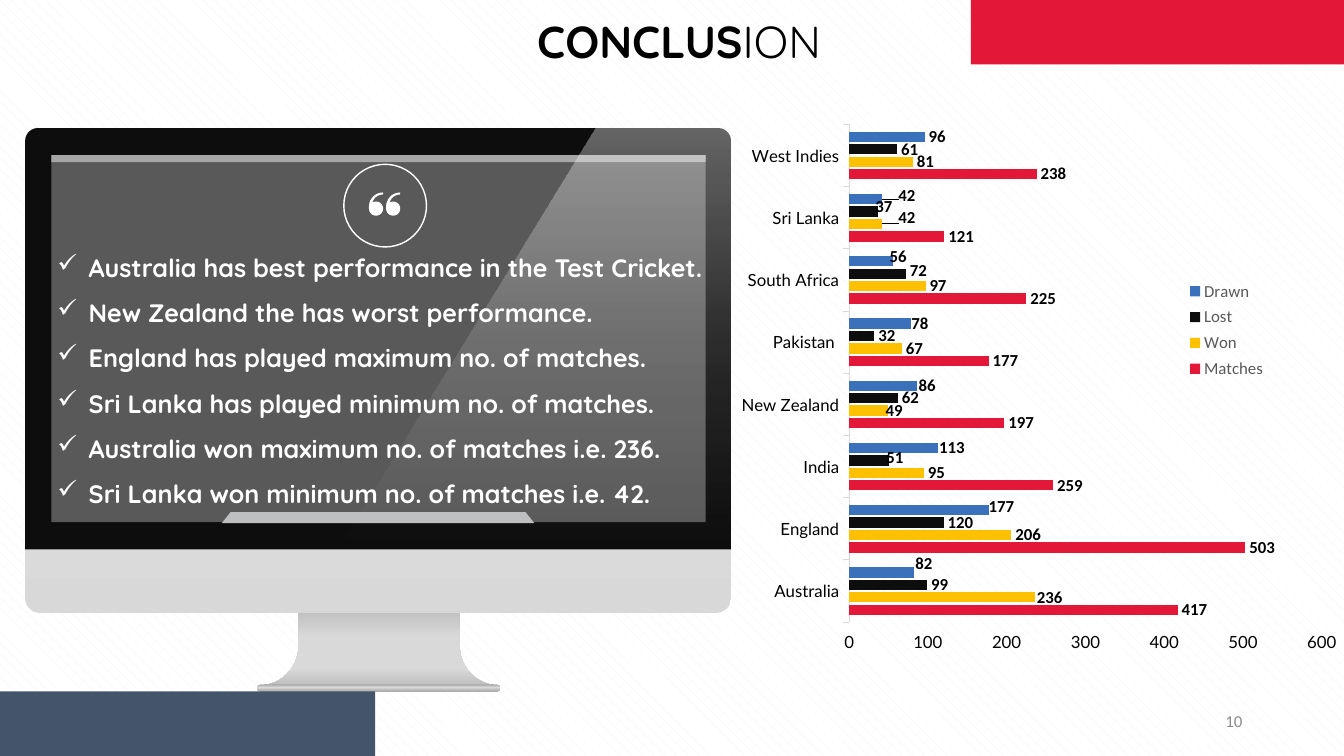
from math import cos, radians, sin

from lxml.etree import SubElement
from pptx import Presentation
from pptx.chart.data import CategoryChartData
from pptx.dml.color import RGBColor
from pptx.enum.chart import XL_CHART_TYPE, XL_LABEL_POSITION, XL_LEGEND_POSITION, XL_TICK_MARK
from pptx.enum.dml import MSO_PATTERN
from pptx.enum.shapes import MSO_SHAPE
from pptx.enum.text import MSO_ANCHOR, MSO_AUTO_SIZE, PP_ALIGN
from pptx.oxml.ns import qn
from pptx.util import Inches, Pt

RED, NAVY, WHITE, BLACK = "E31737", "44546A", "FFFFFF", "000000"

FINDINGS = [
    "Australia has best performance in the Test Cricket.",
    "New Zealand the has worst performance.",
    "England has played maximum no. of matches.",
    "Sri Lanka has played minimum no. of matches.",
    "Australia won maximum no. of matches i.e. 236.",
    "Sri Lanka won minimum no. of matches i.e. 42.",
]
TEAMS = ["Australia", "England", "India", "New Zealand", "Pakistan ",
         "South Africa", "Sri Lanka", "West Indies"]
RESULTS = {
    "Matches": (RED, [417, 503, 259, 197, 177, 225, 121, 238]),
    "Won": ("FFC000", [236, 206, 95, 49, 67, 97, 42, 81]),
    "Lost": ("0D0D0D", [99, 120, 51, 62, 32, 72, 37, 61]),
    "Drawn": ("3B71BA", [82, 177, 113, 86, 78, 56, 42, 96]),
}
LABEL_SHIFTS = {
    "Won": {0: (-0.003, 0), 3: (-0.008, 0), 6: (0.016, -0.01)},
    "Lost": {2: (-0.009, -0.005), 5: (0, -0.005), 6: (-0.009, -0.008)},
    "Drawn": {0: (-0.003, -0.014), 1: (-0.005, -0.005), 2: (-0.004, 0), 3: (-0.003, 0),
              4: (-0.004, 0), 5: (-0.01, -0.007), 6: (0.016, -0.005)},
}


def color(hex_code):
    return RGBColor.from_string(hex_code)


def arc(cx, cy, radius, start, end, steps=12):
    angles = [radians(start + (end - start) * i / steps) for i in range(steps + 1)]
    return [(cx + radius * cos(a), cy + radius * sin(a)) for a in angles]


def set_layout(parent, index, **values):
    for old in parent.findall(qn("c:layout")):
        parent.remove(old)
    layout = SubElement(parent, qn("c:layout"))
    parent.insert(index, layout)
    manual = SubElement(layout, qn("c:manualLayout"))
    for tag, value in values.items():
        SubElement(manual, qn(f"c:{tag}")).set("val", str(value))


class ConclusionSlide:
    """Holds the slide and its style, with a method for each kind of element."""

    heading_font, axis_font, body_font = "Quicksand", "Lato", "Calibri"

    def __init__(self, deck):
        self.slide = deck.slides.add_slide(deck.slide_layouts[5])
        fill = self.slide.background.fill
        fill.patterned()
        fill.pattern = MSO_PATTERN.SHINGLE
        fill.fore_color.rgb = color("F2F2F2")
        fill.back_color.rgb = color(WHITE)

    def style_font(self, font, size, name, hex_code, bold=False):
        font.size, font.name, font.bold = Pt(size), name, bold
        font.color.rgb = color(hex_code)

    def paint(self, shape, fill, angle=90, line=None):
        shape.shadow.inherit = False
        if line:
            shape.line.color.rgb = color(line)
            shape.line.width = Pt(1)
        else:
            shape.line.fill.background()
        if fill is None:
            shape.fill.background()
        elif isinstance(fill, str):
            shape.fill.solid()
            shape.fill.fore_color.rgb = color(fill)
        else:
            self.paint_gradient(shape, fill, angle)

    def paint_gradient(self, shape, stops, angle):
        shape.fill.gradient()
        gradient = shape._element.spPr.find(qn("a:gradFill"))
        gradient.find(qn("a:lin")).set("ang", str(angle * 60000))
        stop_list = gradient.find(qn("a:gsLst"))
        for old in list(stop_list):
            stop_list.remove(old)
        for position, hex_code, opacity in stops:
            stop = SubElement(stop_list, qn("a:gs"), pos=str(position * 1000))
            tint = SubElement(stop, qn("a:srgbClr"), val=hex_code)
            if opacity < 100:
                SubElement(tint, qn("a:alpha"), val=str(opacity * 1000))

    def shape(self, kind, box, fill, adjust=(), **style):
        shape = self.slide.shapes.add_shape(kind, *map(Inches, box))
        for i, value in enumerate(adjust):
            shape.adjustments[i] = value
        self.paint(shape, fill, **style)

    def outline(self, points, fill):
        corners = [(Inches(x), Inches(y)) for x, y in points]
        builder = self.slide.shapes.build_freeform(*corners[0], scale=1.0)
        builder.add_line_segments(corners[1:], close=True)
        self.paint(builder.convert_to_shape(), fill)

    def frame(self, shape, anchor, margin=0):
        frame = shape.text_frame
        frame.word_wrap, frame.auto_size = True, MSO_AUTO_SIZE.NONE
        frame.vertical_anchor = anchor
        frame.margin_left = frame.margin_right = Inches(margin)
        frame.margin_top = frame.margin_bottom = Inches(margin / 2)
        return frame

    def title(self, bold_part, light_part, box):
        title = self.slide.shapes.title
        title.left, title.top, title.width, title.height = map(Inches, box)
        heading = self.frame(title, MSO_ANCHOR.MIDDLE).paragraphs[0]
        heading.alignment = PP_ALIGN.CENTER
        for part, bold in ((bold_part, True), (light_part, False)):
            run = heading.add_run()
            run.text = part
            self.style_font(run.font, 32, self.heading_font, BLACK, bold)

    def checklist(self, items, box):
        checklist = self.slide.shapes.add_textbox(*map(Inches, box))
        frame = self.frame(checklist, MSO_ANCHOR.TOP)
        frame.text = "\n".join(items)
        for item in frame.paragraphs:
            item.line_spacing = 1.5
            properties = item._p.get_or_add_pPr()
            properties.set("marL", str(Inches(0.31)))
            properties.set("indent", str(Inches(-0.31)))
            SubElement(properties, qn("a:buChar"), char="✓")
            self.style_font(item.runs[0].font, 18, self.heading_font, WHITE, True)

    def page_number(self, number, box):
        page = self.slide.shapes.add_textbox(*map(Inches, box))
        frame = self.frame(page, MSO_ANCHOR.MIDDLE, 0.1)
        frame.text = number
        frame.paragraphs[0].alignment = PP_ALIGN.RIGHT
        self.style_font(frame.paragraphs[0].runs[0].font, 12, self.body_font, "8C8C8C")

    def bar_chart(self, teams, results, box):
        data = CategoryChartData()
        data.categories = teams
        for name, (_, values) in results.items():
            data.add_series(name, values)
        chart = self.slide.shapes.add_chart(
            XL_CHART_TYPE.BAR_CLUSTERED, *map(Inches, box), data).chart
        self.style_font(chart.font, 10, self.body_font, BLACK)
        chart.has_title = False
        plot = chart.plots[0]
        plot.gap_width, plot.overlap, plot.vary_by_categories = 141, -20, False
        for axis in (chart.category_axis, chart.value_axis):
            axis.has_major_gridlines = False
            axis.major_tick_mark = XL_TICK_MARK.OUTSIDE
            self.style_font(axis.tick_labels.font, 12, self.axis_font, BLACK)
        chart.category_axis.format.line.color.rgb = color("D9D9D9")
        chart.category_axis.format.line.width = Pt(0.75)
        chart.value_axis.format.line.fill.background()
        chart.has_legend = True
        chart.legend.position = XL_LEGEND_POSITION.RIGHT
        chart.legend.include_in_layout = False
        self.style_font(chart.legend.font, 12, self.body_font, "595959")
        set_layout(chart.legend._element, 1, xMode="edge", yMode="edge",
                   x=0.616, y=0.317, w=0.11, h=0.175)
        set_layout(chart._chartSpace.chart.plotArea, 0, layoutTarget="inner",
                   xMode="edge", yMode="edge", x=0.179, y=0.075, w=0.616, h=0.798)
        for series in plot.series:
            self.label_series(series, results[series.name][0])

    def label_series(self, series, hex_code):
        series.format.fill.solid()
        series.format.fill.fore_color.rgb = color(hex_code)
        series.data_labels.show_value = True
        shifts = LABEL_SHIFTS.get(series.name, {})
        for label in [series.data_labels] + [series.points[i].data_label for i in shifts]:
            label.position = XL_LABEL_POSITION.OUTSIDE_END
            self.style_font(label.font, 12, self.body_font, BLACK, True)
        for element, (x, y) in zip(series._element.iter(qn("c:dLbl")), shifts.values()):
            set_layout(element, 1, x=x, y=y)

    def monitor(self):
        neck = arc(2.57, 6.41, 0.39, 0, 90)
        mirrored = [(7.52 - x, y) for x, y in reversed(neck)]
        self.outline([(2.96, 6.05), *neck, *mirrored, (4.56, 6.05)],
                     [(0, "BFBFBF", 100), (37, "D9D9D9", 100),
                      (77, "D9D9D9", 100), (100, "BFBFBF", 100)])
        self.shape(MSO_SHAPE.ROUNDED_RECTANGLE, (2.55, 6.79, 2.41, 0.07),
                   [(0, "A6A6A6", 100), (44, "D9D9D9", 100), (100, "A6A6A6", 100)], [0.5])
        self.shape(MSO_SHAPE.ROUNDED_RECTANGLE, (0.25, 1.27, 7, 4.81),
                   [(0, "D8D8D8", 100), (50, "E5E5E5", 100), (100, "F2F2F2", 100)],
                   [0.03], angle=270)
        self.shape(MSO_SHAPE.ROUND_2_SAME_RECTANGLE, (0.25, 1.27, 7, 4.18), "0D0D0D", [0.03, 0])
        self.shape(MSO_SHAPE.RECTANGLE, (0.51, 1.54, 6.49, 3.64), "595959")
        self.shape(MSO_SHAPE.RECTANGLE, (0.51, 1.54, 6.49, 0.07), "A6A6A6")
        self.shape(MSO_SHAPE.TRAPEZOID, (2.2, 5.08, 3.1, 0.11), "BDBFC1", [0.8])
        self.outline([(5.91, 1.27), *arc(7.12, 1.4, 0.13, -90, 0), (7.25, 5.37), (3.4, 5.37)],
                     [(0, WHITE, 36), (50, WHITE, 13), (100, "FFDDDE", 0)])

    def quote_badge(self):
        self.shape(MSO_SHAPE.OVAL, (3.41, 1.63, 0.82, 0.82), None, line=WHITE)
        for left in (3.66, 3.83):
            tail = arc(left + 0.14, 2.05, 0.14, -90, -180)
            ball = arc(left + 0.07, 2.07, 0.07, 180, -120, 24)
            inner = arc(left + 0.14, 2.04, 0.11, -165, -90)
            self.outline(tail + ball + inner, WHITE)


def main():
    deck = Presentation()
    deck.slide_width, deck.slide_height = Inches(13.33), Inches(7.5)
    conclusion = ConclusionSlide(deck)
    conclusion.monitor()
    conclusion.quote_badge()
    conclusion.title("CONCLUS", "ION", (1.67, 0.13, 10.13, 0.54))
    conclusion.checklist(FINDINGS, (0.57, 2.35, 6.52, 2.73))
    conclusion.bar_chart(TEAMS, RESULTS, (7.06, 0.77, 7.61, 6.19))
    conclusion.page_number("10", (9.42, 6.95, 3, 0.4))
    conclusion.shape(MSO_SHAPE.RECTANGLE, (9.63, 0, 3.7, 0.64), RED)
    conclusion.shape(MSO_SHAPE.RECTANGLE, (0, 6.86, 3.72, 0.64), NAVY)
    deck.save("out.pptx")


if __name__ == "__main__":
    main()
